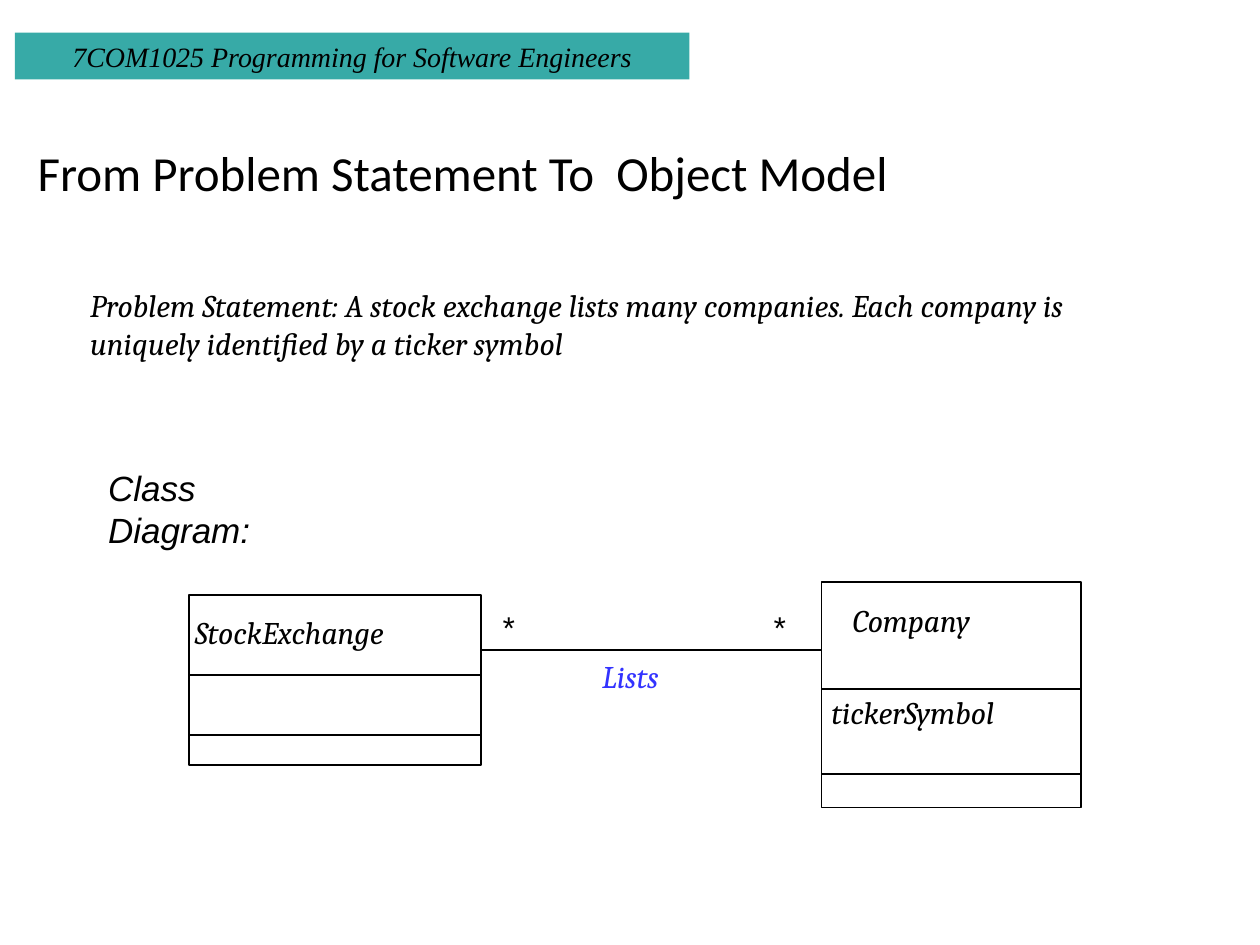
from lxml.etree import SubElement
from pptx import Presentation
from pptx.dml.color import RGBColor
from pptx.enum.shapes import MSO_CONNECTOR as Link, MSO_SHAPE as Shape
from pptx.enum.text import MSO_ANCHOR as Anchor, PP_ALIGN as Align
from pptx.oxml.ns import qn
from pptx.util import Cm, Pt

BLACK = RGBColor(0x00, 0x00, 0x00)
TEAL = RGBColor(0x37, 0xAA, 0xA7)
BLUE = RGBColor(0x33, 0x33, 0xFF)


class Sheet:
    """Holds the text style and the current slide."""

    base = {"name": "Cambria", "size": Pt(18), "italic": True}
    stroke = Pt(1)

    def __init__(self, slide):
        self.slide = slide

    def label(self, frame, words, color=BLACK, align=Align.LEFT, **style):
        frame.word_wrap = True
        para = frame.paragraphs[0]
        para.text = words
        para.alignment = align
        for key, value in {**self.base, **style}.items():
            setattr(para.font, key, value)
        para.font.color.rgb = color
        return para

    def text(self, words, x, y, w, h=1.27, anchor=Anchor.TOP, **style):
        box = self.slide.shapes.add_textbox(Cm(x), Cm(y), Cm(w), Cm(h))
        box.text_frame.vertical_anchor = anchor
        return self.label(box.text_frame, words, **style)

    def rect(self, x, y, w, h, fill=None):
        box = self.slide.shapes.add_shape(
            Shape.RECTANGLE, Cm(x), Cm(y), Cm(w), Cm(h))
        box.shadow.inherit = False
        if fill is None:
            box.fill.background()
            box.line.color.rgb = BLACK
            box.line.width = self.stroke
        else:
            box.fill.solid()
            box.fill.fore_color.rgb = fill
            box.line.fill.background()
        return box

    def line(self, x, y, end):
        """Draws a level line from x to end."""
        link = self.slide.shapes.add_connector(
            Link.STRAIGHT, Cm(x), Cm(y), Cm(end), Cm(y))
        link.line.color.rgb = BLACK
        link.line.width = self.stroke
        SubElement(link._element.spPr, qn("a:effectLst"))

    def entity(self, x, y, w, h, rows):
        """Draws a class box, split at the given depths."""
        self.rect(x, y, w, h)
        for depth in rows:
            self.line(x, y + depth, x + w)


def main():
    deck = Presentation()
    deck.slide_width, deck.slide_height = Cm(25.4), Cm(19.05)
    sheet = Sheet(deck.slides.add_slide(deck.slide_layouts[6]))

    # Course banner
    banner = sheet.rect(0.3, 0.66, 13.6, 0.94, TEAL)
    banner.text_frame.vertical_anchor = Anchor.MIDDLE
    sheet.label(banner.text_frame, "7COM1025 Programming for Software Engineers",
                align=Align.CENTER, name="Times New Roman", size=Pt(16))

    # Title and problem statement
    title = sheet.text("From Problem Statement To  Object Model",
                       0.51, 1.7, 21.9, 3.68, Anchor.MIDDLE,
                       name="Calibri", size=Pt(28), italic=False)
    title.line_spacing = 0.9
    sheet.text("Problem Statement: A stock exchange lists many companies. "
               "Each company is uniquely identified by a ticker symbol",
               1.57, 5.64, 21.34, 1.78)
    sheet.text("Class Diagram:", 1.93, 9.27, 5.1, 1.09,
               name="Arial", size=Pt(20))

    # Classes
    sheet.entity(3.81, 11.99, 5.89, 3.43, (1.62, 2.82))
    sheet.text("StockExchange", 3.68, 12.24, 6.05)
    sheet.entity(16.56, 11.73, 5.23, 4.55, (2.16, 3.87))
    sheet.text("Company", 16.94, 11.99, 4.04)
    sheet.text("tickerSymbol", 16.51, 13.84, 5.33)

    # Association
    sheet.line(9.7, 13.11, 16.56)
    sheet.text("Lists", 11.89, 13.13, 2.36, color=BLUE)
    for x in (9.86, 15.32):
        sheet.text("*", x, 12.14, 0.84, name="Arial")

    deck.save("out.pptx")


if __name__ == "__main__":
    main()
